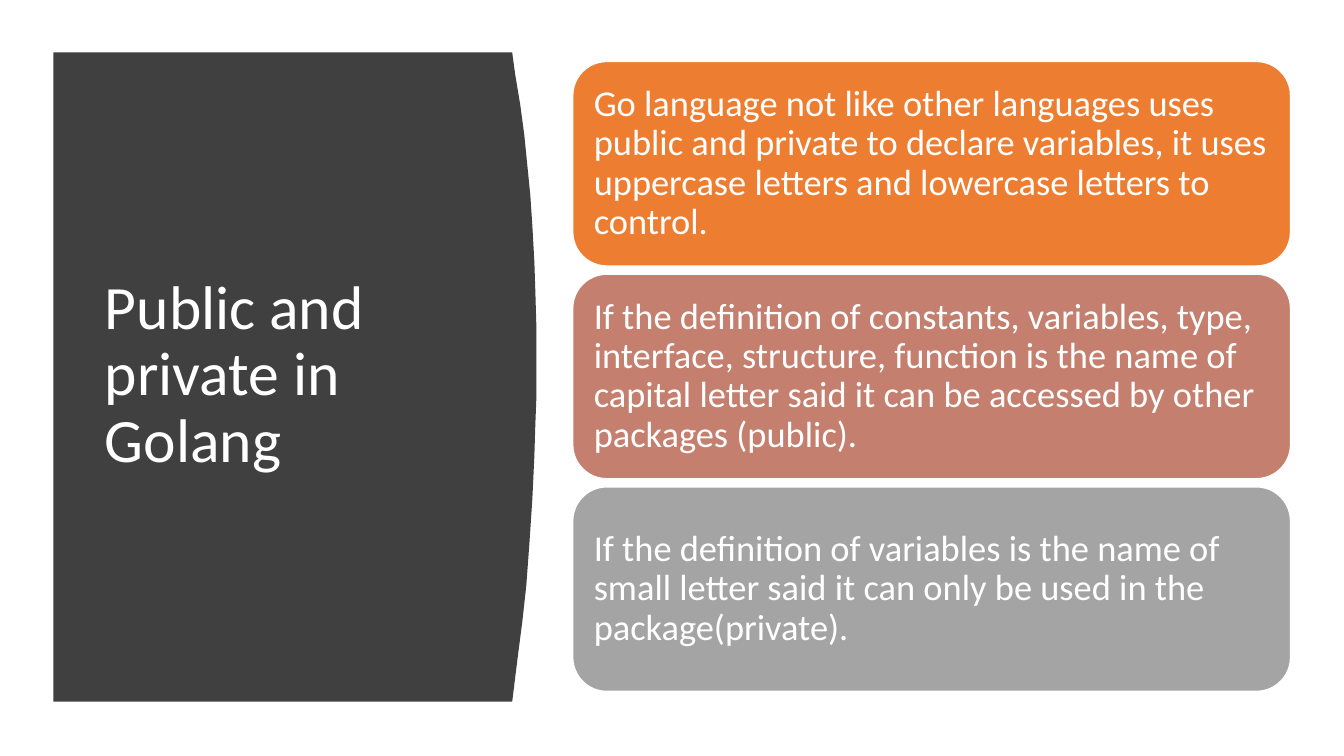
from pptx import Presentation
from pptx.dml.color import RGBColor
from pptx.enum import shapes, text
from pptx.util import Inches, Pt

WHITE = RGBColor(0xFF, 0xFF, 0xFF)
CHARCOAL = RGBColor(0x40, 0x40, 0x40)
ORANGE = RGBColor(0xED, 0x7D, 0x31)
ROSE = RGBColor(0xC4, 0x7F, 0x6E)
GRAY = RGBColor(0xA4, 0xA4, 0xA4)


def write(tf, content, size):
    tf.word_wrap = True
    tf.auto_size = text.MSO_AUTO_SIZE.NONE
    tf.vertical_anchor = text.MSO_ANCHOR.MIDDLE
    p = tf.paragraphs[0]
    p.alignment = text.PP_ALIGN.LEFT
    p.line_spacing = 0.9
    r = p.add_run()
    r.text = content
    r.font.name = "Calibri"
    r.font.size = Pt(size)
    r.font.color.rgb = WHITE


prs = Presentation()
prs.slide_width, prs.slide_height = Inches(13.33), Inches(7.5)
s = prs.slides.add_slide(prs.slide_layouts[5])

# Dark panel with a bowed right edge
PANEL_LEFT, PANEL_TOP, PANEL_BOTTOM = 0.53, 0.52, 6.96
BOWED_EDGE = [
    (5.08, PANEL_TOP), (5.11, 0.74), (5.16, 1.04), (5.2, 1.34), (5.23, 1.64),
    (5.26, 1.94), (5.28, 2.24), (5.3, 2.6), (5.31, 2.9), (5.32, 3.25),
    (5.32, 3.94), (5.31, 4.2), (5.3, 4.52), (5.28, 4.95), (5.25, 5.4),
    (5.22, 5.81), (5.18, 6.17), (5.14, 6.48), (5.11, 6.72), (5.08, PANEL_BOTTOM),
]
builder = s.shapes.build_freeform(Inches(PANEL_LEFT), Inches(PANEL_TOP))
builder.add_line_segments(
    [(Inches(x), Inches(y)) for x, y in BOWED_EDGE + [(PANEL_LEFT, PANEL_BOTTOM)]]
)
panel = builder.convert_to_shape()
panel.shadow.inherit = False
panel.fill.solid()
panel.fill.fore_color.rgb = CHARCOAL
panel.line.fill.background()

# Title, brought in front of the panel
title = s.shapes.title
title.left, title.top = Inches(0.94), Inches(1.11)
title.width, title.height = Inches(3.74), Inches(5.24)
write(title.text_frame, "Public and private in Golang", 44)
panel.element.addnext(title.element)

# Stacked cards
CARD_TOP, CARD_PITCH = 0.61, 2.11
cards = [
    (ORANGE, "Go language not like other languages uses public and private to declare "
             "variables, it uses uppercase letters and lowercase letters to control."),
    (ROSE, "If the definition of constants, variables, type, interface, structure, "
           "function is the name of capital letter said it can be accessed by other "
           "packages (public)."),
    (GRAY, "If the definition of variables is the name of small letter said it can only "
           "be used in the package(private)."),
]
for i, (color, content) in enumerate(cards):
    card = s.shapes.add_shape(
        shapes.MSO_SHAPE.ROUNDED_RECTANGLE,
        Inches(5.68), Inches(CARD_TOP + i * CARD_PITCH), Inches(7.12), Inches(2.03),
    )
    card.adjustments[0] = 0.167
    card.shadow.inherit = False
    card.fill.solid()
    card.fill.fore_color.rgb = color
    card.line.color.rgb = WHITE
    card.line.width = Pt(1)
    tf = card.text_frame
    tf.margin_left = tf.margin_right = tf.margin_top = tf.margin_bottom = Inches(0.11)
    write(tf, content, 26)

prs.save("out.pptx")
